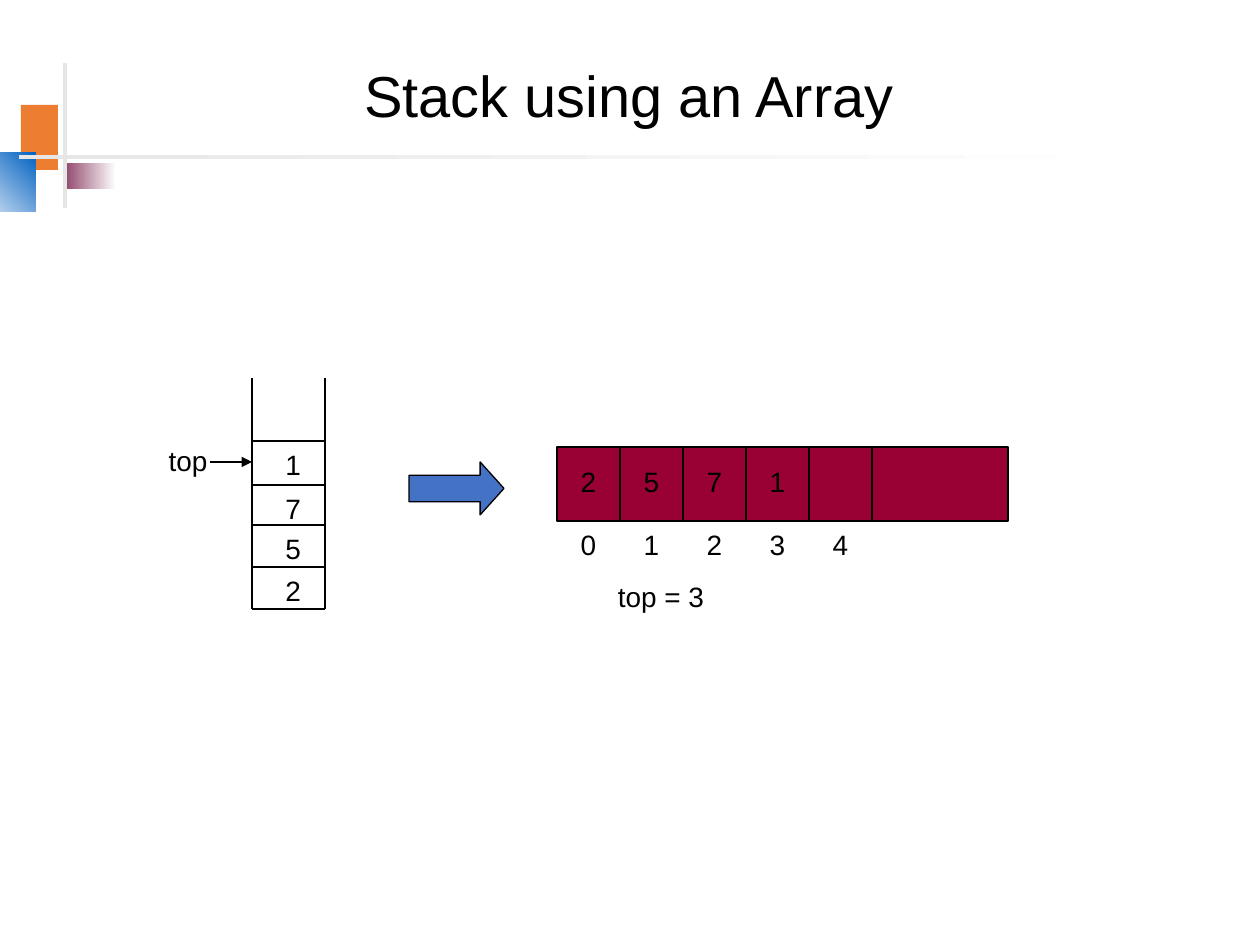
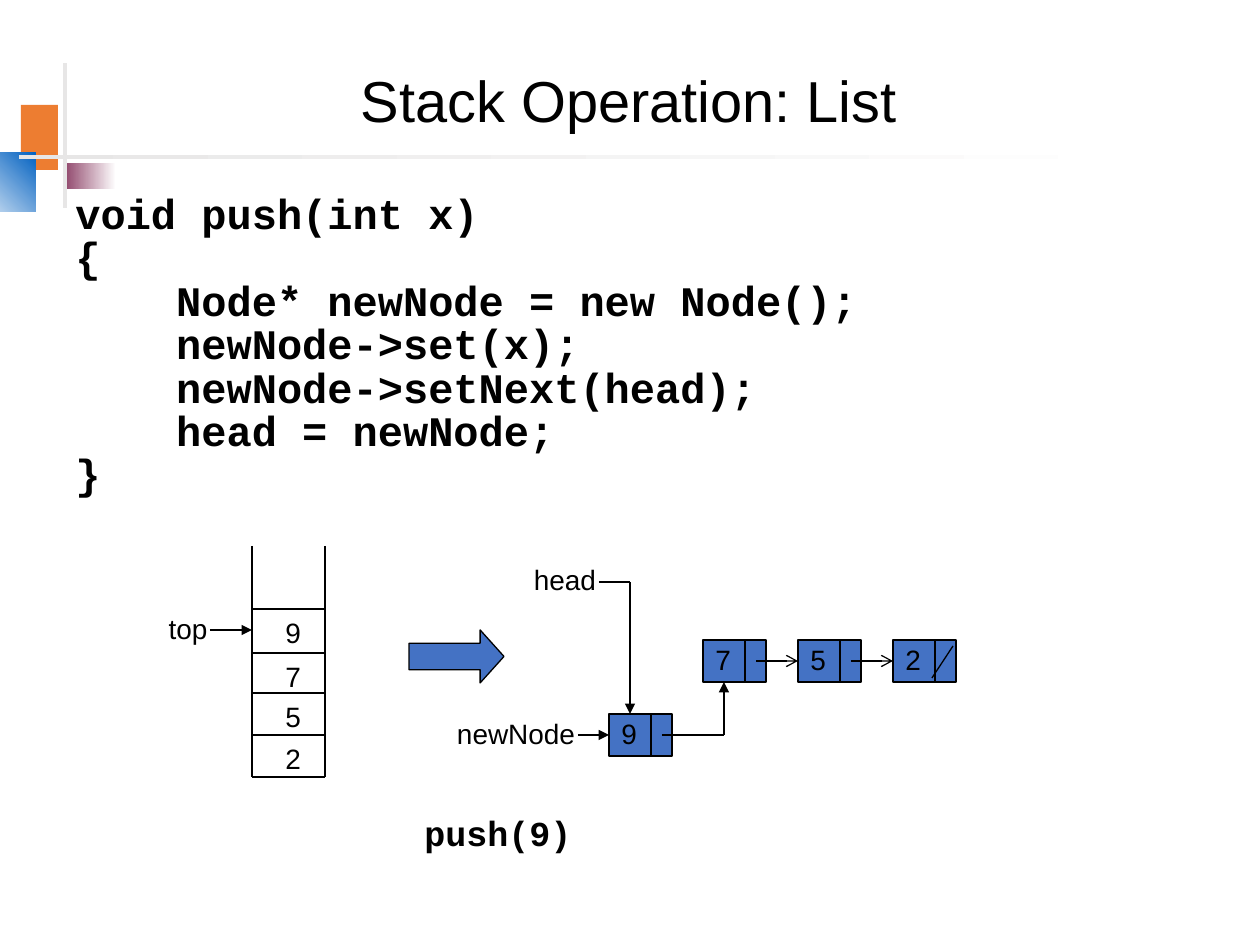
import pptx
import pptx.util
import pptx.dml.color
import pptx.enum.shapes
import pptx.enum.text
import pptx.oxml
import pptx.oxml.ns

COLORS = {"ink": "000000", "white": "FFFFFF", "orange": "ED7D31", "plum": "954F72",
          "link": "0563C1", "gray": "E7E6E6", "blue": "4472C4", "crimson": "990033"}
SANS, MONO = "Arial", "Courier New"
SHAPE = pptx.enum.shapes.MSO_SHAPE
ALIGN = pptx.enum.text.PP_ALIGN
ANCHOR = pptx.enum.text.MSO_ANCHOR
PX_PER_INCH = 126

# left, top, width, height, fill colour or gradient (from, to, angle)
DECOR = [
    (21, 105, 37, 65, "orange"),
    (67, 163, 49, 26, ("plum", "white", 0)),
    (-42, 153, 78, 59, ("white", "link", 45)),
    (63, 63, 4, 145, "gray"),
    (19, 155, 1134, 4, ("gray", "white", 0)),
]

ARRAY_SLIDE = {
    "title": "Stack using an Array", "title_height": 97,
    "stack_top": 378, "stack": ["1", "7", "5", "2"],
    "cells": ["2", "5", "7", "1", ""], "caption": "top = 3",
}
LIST_SLIDE = {
    "title": "Stack Operation: List", "title_height": 107,
    "stack_top": 546, "stack": ["9", "7", "5", "2"],
    "code": ["void push(int x)", "{", "    Node* newNode = new Node();",
             "    newNode->set(x);", "    newNode->setNext(head);",
             "    head = newNode;", "}"],
    "new_node": "9", "nodes": ["7", "5", "2"], "caption": "push(9)",
}

STACK_LEFT, STACK_RIGHT, STACK_HEIGHT = 252, 325, 231
STACK_RULES = [63, 107, 147, 189]
ARRAY_LEFT, ARRAY_TOP, ARRAY_WIDTH, ARRAY_HEIGHT, CELL = 557, 447, 451, 74, 63
NODE_WIDTH, NODE_HEIGHT, NODE_SPLIT, NODE_STEP = 63, 42, 42, 95
LABEL_HEIGHT = 47


def px(n):
    return pptx.util.Emu(round(n * 914400 / PX_PER_INCH))


def rgb(name):
    return pptx.dml.color.RGBColor.from_string(COLORS[name])


def add_block(s, x, y, w, h, fill, kind=SHAPE.RECTANGLE, outlined=True):
    sp = s.shapes.add_shape(kind, px(x), px(y), px(w), px(h))
    sp.shadow.inherit = False
    if isinstance(fill, tuple):
        start, end, angle = fill
        sp.fill.gradient()
        sp.fill.gradient_angle = angle
        for stop, name in zip(sp.fill.gradient_stops, (start, end)):
            stop.color.rgb = rgb(name)
    else:
        sp.fill.solid()
        sp.fill.fore_color.rgb = rgb(fill)
    if outlined:
        sp.line.color.rgb = rgb("ink")
        sp.line.width = pptx.util.Pt(0.75)
    else:
        sp.line.fill.background()
    return sp


def add_line(s, x1, y1, x2, y2, head=None, target=None):
    """Draw a thin line, with an optional arrowhead and a block whose left side it joins."""
    c = s.shapes.add_connector(pptx.enum.shapes.MSO_CONNECTOR.STRAIGHT,
                               px(x1), px(y1), px(x2), px(y2))
    c.line.color.rgb = rgb("ink")
    c.line.width = pptx.util.Pt(0.75)
    if target is not None:
        c.end_connect(target, 1)
    spPr = c.element.spPr
    if head:
        tail = pptx.oxml.parse_xml(f'<a:tailEnd {pptx.oxml.ns.nsdecls("a")} type="{head}"/>')
        spPr.find(pptx.oxml.ns.qn("a:ln")).append(tail)
    spPr.append(pptx.oxml.parse_xml(f'<a:effectLst {pptx.oxml.ns.nsdecls("a")}/>'))


def add_text(s, x, y, w, h, lines, size=16, font=SANS, bold=False, align=ALIGN.CENTER,
             wrap=False, anchor=ANCHOR.TOP, spacing=None, before=0):
    tf = s.shapes.add_textbox(px(x), px(y), px(w), px(h)).text_frame
    tf.word_wrap = wrap
    tf.vertical_anchor = anchor
    for i, line in enumerate(lines):
        p = tf.add_paragraph() if i else tf.paragraphs[0]
        p.alignment = align
        if spacing:
            p.line_spacing = spacing
        if i and before:
            p.space_before = pptx.util.Pt(before)
        r = p.add_run()
        r.text = line
        r.font.name, r.font.size, r.font.bold = font, pptx.util.Pt(size), bold
        r.font.color.rgb = rgb("ink")


def add_label(s, x, y, w, text):
    add_text(s, x, y, w, LABEL_HEIGHT, [text])


def add_stack(s, top, values):
    bottom = top + STACK_HEIGHT
    for x in (STACK_LEFT, STACK_RIGHT):
        add_line(s, x, top, x, bottom)
    for rule in STACK_RULES + [STACK_HEIGHT]:
        add_line(s, STACK_LEFT, top + rule, STACK_RIGHT, top + rule)
    for rule, value in zip(STACK_RULES, values):
        add_label(s, STACK_LEFT + 21, top + rule, 40, value)
    add_label(s, 148, top + 59, 80, "top")
    add_line(s, 210, top + 84, STACK_LEFT, top + 84, "triangle")
    arrow = add_block(s, 409, top + 84, 95, 53, "blue", SHAPE.RIGHT_ARROW)
    arrow.adjustments[0], arrow.adjustments[1] = 0.5, 0.45


def add_array(s, cells):
    add_block(s, ARRAY_LEFT, ARRAY_TOP, ARRAY_WIDTH, ARRAY_HEIGHT, "crimson")
    bottom = ARRAY_TOP + ARRAY_HEIGHT
    for i, value in enumerate(cells):
        x = ARRAY_LEFT + i * CELL
        add_line(s, x + CELL, ARRAY_TOP, x + CELL, bottom)
        if value:
            add_label(s, x, ARRAY_TOP + 11, CELL, value)
        add_label(s, x, bottom, CELL, str(i))


def add_node(s, x, y, value):
    node = add_block(s, x, y, NODE_WIDTH, NODE_HEIGHT, "blue")
    add_line(s, x + NODE_SPLIT, y, x + NODE_SPLIT, y + NODE_HEIGHT)
    add_label(s, x, y - 4, 40, value)
    return node


def add_linked_list(s, new_value, values):
    left, top, new_left, new_top = 703, 640, 609, 714
    middle, new_middle = top + NODE_HEIGHT // 2, new_top + NODE_HEIGHT // 2
    xs = [left + i * NODE_STEP for i in range(len(values))]
    nodes = [add_node(s, x, top, value) for x, value in zip(xs, values)]
    for x, following in zip(xs, nodes[1:]):
        add_line(s, x + 53, middle, x + NODE_STEP, middle, "arrow", following)
    add_line(s, xs[-1] + 60, top + 6, xs[-1] + 39, top + 38)

    new_node = add_node(s, new_left, new_top, new_value)
    add_label(s, 436, new_top - 4, 160, "newNode")
    add_line(s, 578, new_middle, new_left, new_middle, "triangle", new_node)
    add_line(s, new_left + 53, new_middle, left + 21, new_middle)
    add_line(s, left + 21, new_middle, left + 21, top + NODE_HEIGHT, "triangle")
    add_label(s, 515, 556, 100, "head")
    add_line(s, 599, 582, new_left + 21, 582)
    add_line(s, new_left + 21, 582, new_left + 21, new_top, "triangle")


def add_slide(prs, content):
    """Add a slide with the shared decoration, its title and its stack."""
    s = prs.slides.add_slide(prs.slide_layouts[6])
    for x, y, w, h, fill in DECOR:
        add_block(s, x, y, w, h, fill, outlined=False)
    add_text(s, 63, 50, 1132, content["title_height"], [content["title"]], size=33,
             wrap=True, anchor=ANCHOR.MIDDLE, spacing=0.9)
    add_stack(s, content["stack_top"], content["stack"])
    return s


def main():
    prs = pptx.Presentation()
    prs.slide_width, prs.slide_height = px(1260), px(945)

    s = add_slide(prs, ARRAY_SLIDE)
    add_array(s, ARRAY_SLIDE["cells"])
    add_label(s, 596, 573, 130, ARRAY_SLIDE["caption"])

    s = add_slide(prs, LIST_SLIDE)
    add_text(s, 63, 199, 1134, 325, LIST_SLIDE["code"], size=24, font=MONO, bold=True,
             align=ALIGN.LEFT, wrap=True, spacing=0.6, before=7.5)
    add_linked_list(s, LIST_SLIDE["new_node"], LIST_SLIDE["nodes"])
    add_text(s, 397, 805, 202, 55, [LIST_SLIDE["caption"]], size=20, font=MONO, bold=True)

    prs.save("out.pptx")


if __name__ == "__main__":
    main()
